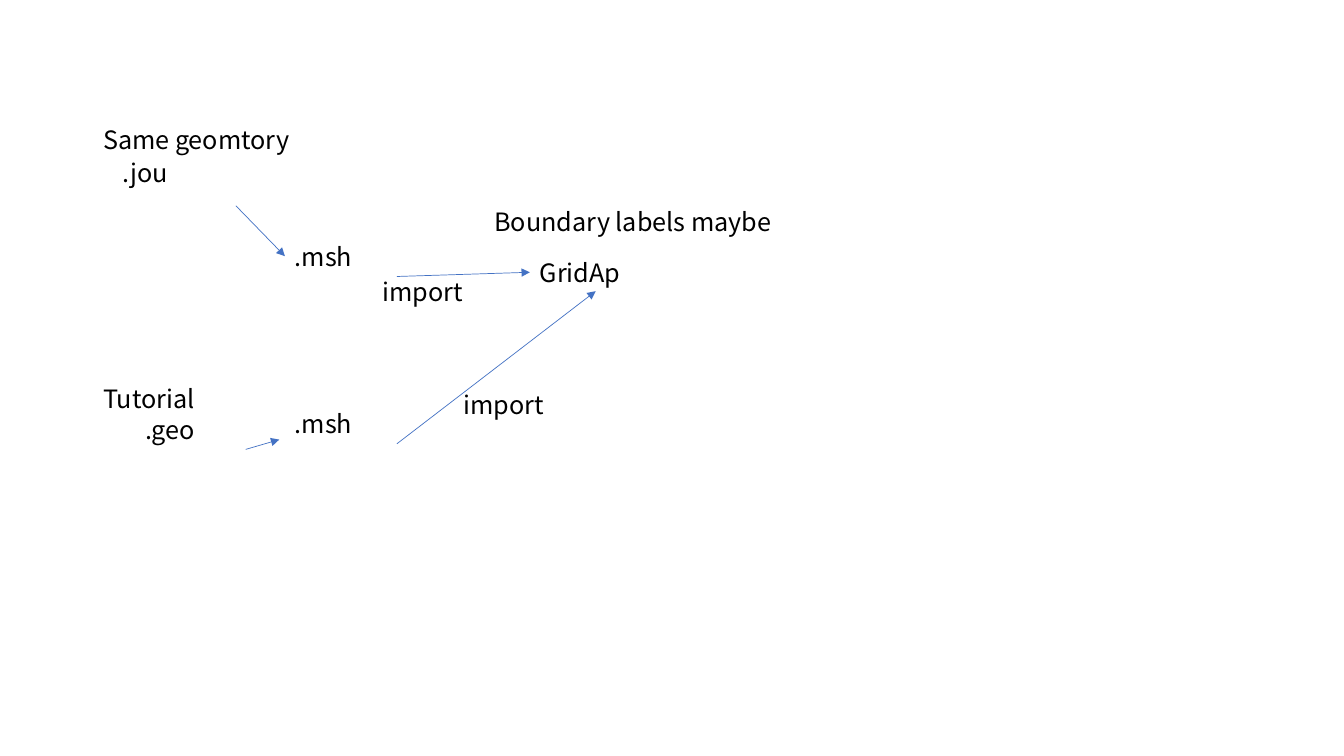
from lxml.etree import SubElement
from pptx import Presentation
from pptx.dml.color import RGBColor
from pptx.enum.shapes import MSO_CONNECTOR
from pptx.enum.text import MSO_AUTO_SIZE
from pptx.oxml.ns import qn
from pptx.util import Pt

BLACK = RGBColor(0x00, 0x00, 0x00)
BLUE = RGBColor(0x44, 0x72, 0xC4)
FONT = "Noto Sans CJK JP"
LABEL_WIDTH, WIDE_LABEL_WIDTH, LABEL_HEIGHT = 159, 264, 29

# text, left, top, width
LABELS = [
    ("Same geomtory", 66.5, 85.5, LABEL_WIDTH),
    (".jou", 80.5, 108.5, LABEL_WIDTH),
    (".msh", 203.5, 168.5, LABEL_WIDTH),
    ("import", 266, 194, LABEL_WIDTH),
    ("GridAp", 378.5, 180, LABEL_WIDTH),
    ("Boundary labels maybe", 346, 143.5, WIDE_LABEL_WIDTH),
    ("Tutorial", 66.5, 270, LABEL_WIDTH),
    (".geo", 96.5, 292.5, LABEL_WIDTH),
    (".msh", 203.5, 288, LABEL_WIDTH),
    ("import", 324, 274.5, LABEL_WIDTH),
]

# start, end
ARROWS = [
    ((168.5, 147), (203.5, 183)),
    ((283.5, 197.5), (378.5, 194.5)),
    ((175.5, 321), (199.5, 314)),
    ((283.5, 317), (425.5, 208)),
]


def add_label(slide, text, left, top, width):
    box = slide.shapes.add_textbox(Pt(left), Pt(top), Pt(width), Pt(LABEL_HEIGHT))
    frame = box.text_frame
    frame.word_wrap = True
    frame.auto_size = MSO_AUTO_SIZE.SHAPE_TO_FIT_TEXT
    paragraph = frame.paragraphs[0]
    paragraph.text = text
    paragraph.font.name = FONT
    paragraph.font.size = Pt(18)
    paragraph.font.color.rgb = BLACK


def add_arrow(slide, start, end):
    points = [Pt(value) for value in (*start, *end)]
    arrow = slide.shapes.add_connector(MSO_CONNECTOR.STRAIGHT, *points)
    arrow.line.color.rgb = BLUE
    arrow.line.width = Pt(0.5)
    SubElement(arrow.line._get_or_add_ln(), qn("a:tailEnd"), type="triangle")
    SubElement(arrow._element.spPr, qn("a:effectLst"))


def main():
    presentation = Presentation()
    presentation.slide_width, presentation.slide_height = Pt(960), Pt(540)
    slide = presentation.slides.add_slide(presentation.slide_layouts.get_by_name("Blank"))
    for label in LABELS:
        add_label(slide, *label)
    for start, end in ARROWS:
        add_arrow(slide, start, end)
    presentation.save("out.pptx")


if __name__ == "__main__":
    main()
